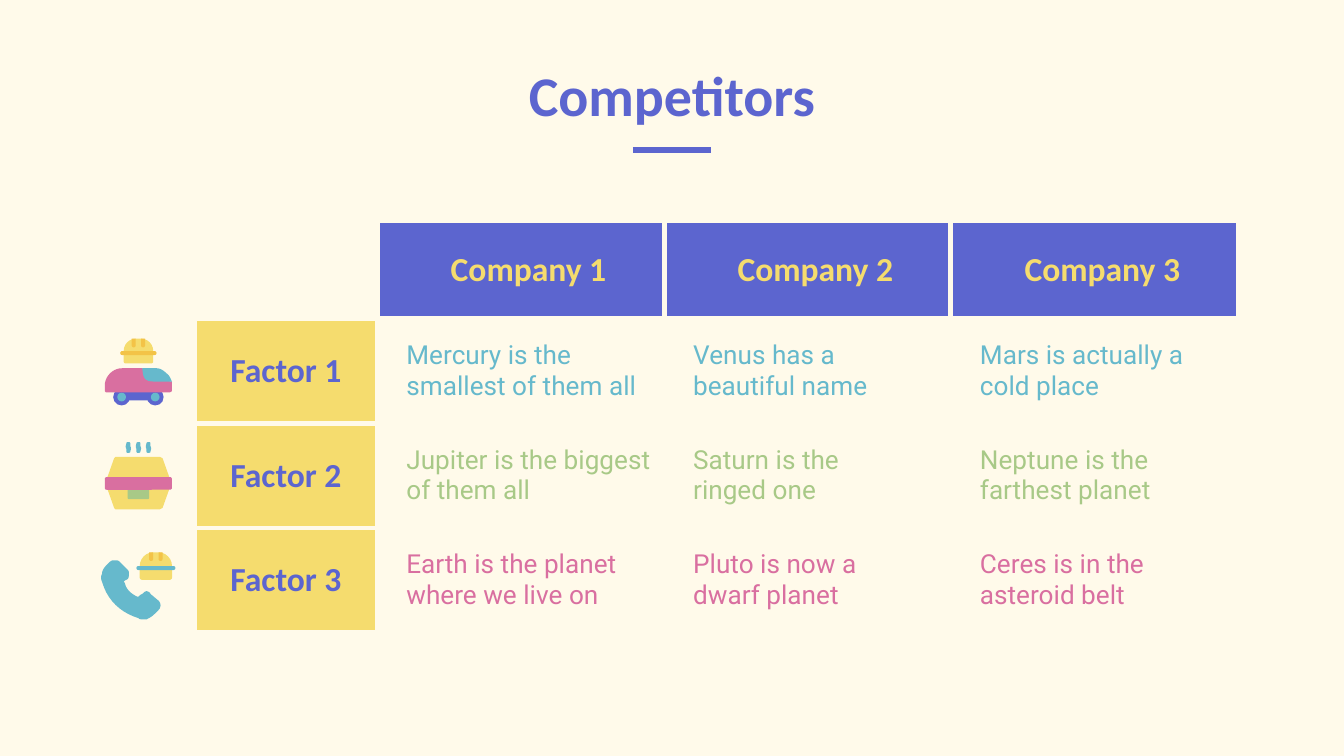
from dataclasses import dataclass
from typing import Any

from lxml.etree import SubElement
from pptx import Presentation
from pptx.dml.color import RGBColor
from pptx.enum.shapes import MSO_CONNECTOR, MSO_SHAPE
from pptx.enum.text import MSO_ANCHOR, PP_ALIGN
from pptx.oxml.ns import qn
from pptx.shapes.shapetree import GroupShapes
from pptx.table import _Cell
from pptx.util import Cm, Pt

COLORS = {
    "cream": "FFFAEA",
    "indigo": "5C65CF",
    "yellow": "F5DC6E",
    "amber": "F3C347",
    "blue": "66B9CC",
    "green": "A8C987",
    "pink": "D96FA0",
}
GRID = Cm(2.54) / 100
CURVE_STEPS = 10
HEADING_FONT = {"name": "Calibri", "size": Pt(18), "bold": True}
BODY_FONT = {"name": "Roboto", "size": Pt(14), "bold": False}
TITLE_FONT = {"name": "Calibri", "size": Pt(30), "bold": True}
MARGINS = {f"margin_{side}": Cm(0.25) for side in ("left", "right", "top", "bottom")}


@dataclass(frozen=True)
class Factor:
    name: str
    color: str
    notes: tuple[str, ...]


@dataclass(frozen=True)
class Part:
    preset: MSO_SHAPE
    color: str
    left: float
    top: float
    width: float
    height: float
    corners: tuple[float, ...] = ()


@dataclass(frozen=True)
class Outline:
    color: str
    start: tuple[float, float]
    segments: tuple[tuple[float, ...], ...]


COMPANIES = ("Company 1", "Company 2", "Company 3")
FACTORS = (
    Factor("Factor 1", "blue", (
        "Mercury is the smallest of them all", "Venus has a beautiful name",
        "Mars is actually a\ncold place")),
    Factor("Factor 2", "green", (
        "Jupiter is the biggest of them all", "Saturn is the\nringed one",
        "Neptune is the\nfarthest planet")),
    Factor("Factor 3", "pink", (
        "Earth is the planet where we live on", "Pluto is now a\ndwarf planet",
        "Ceres is in the asteroid belt")),
)

VAN_BODY = Outline("pink", (91, 274), (
    (84, 274, 78, 280, 78, 287), (78, 291), (78, 291, 79, 292, 79, 292), (126, 292),
    (127, 292, 128, 291, 128, 291), (128, 284), (123, 284, 106, 274, 106, 274)))
WINDSCREEN = Outline("blue", (106, 274), (
    (106, 278, 107, 281, 108, 282), (110, 284, 113, 284, 117, 284), (128, 284),
    (127, 282, 126, 279, 124, 278), (121, 275, 119, 274, 115, 274)))
BOX = Outline("yellow", (86, 340), (
    (85, 341), (80, 355), (80, 364), (85, 378), (86, 379), (119, 379),
    (121, 378), (126, 364), (126, 355), (121, 341), (119, 340)))
STEAM = Outline("blue", (2, 0), (
    (1, 0, 0, 0, 0, 1), (0, 2, -1, 3, 0, 5), (0, 6), (0, 7, 0, 8, 1, 8),
    (2, 8, 3, 8, 3, 7), (3, 6, 4, 5, 3, 3), (3, 2), (3, 1, 3, 0, 2, 0)))
HANDSET = Outline("blue", (86, 417), (
    (84, 417, 83, 417, 82, 418), (79, 421), (77, 423, 76, 425, 76, 427),
    (75, 429, 75, 431, 76, 433), (80, 447, 90, 456, 103, 460),
    (104, 461, 105, 461, 107, 461), (108, 461, 108, 461, 109, 461),
    (111, 460, 113, 459, 115, 457), (118, 454), (120, 452, 120, 449, 118, 447),
    (112, 442), (112, 441, 110, 440, 109, 440), (108, 440, 107, 441, 106, 442),
    (104, 443), (104, 444, 103, 444, 102, 444), (98, 442, 94, 439, 93, 434),
    (92, 433, 92, 433, 93, 432), (95, 431), (96, 430, 96, 428, 96, 427),
    (96, 426, 96, 425, 95, 424), (89, 418), (88, 417, 87, 417, 86, 417)))


def rgb(color: str) -> RGBColor:
    return RGBColor.from_string(COLORS[color])


def apply_format(target: Any, values: dict[str, Any]) -> None:
    for attribute, value in values.items():
        setattr(target, attribute, value)


def paint(shape: Any, color: str) -> None:
    shape.shadow.inherit = False
    shape.fill.solid()
    shape.fill.fore_color.rgb = rgb(color)
    shape.line.fill.background()


def draw_part(icon: GroupShapes, part: Part) -> None:
    box = (part.left, part.top, part.width, part.height)
    shape = icon.add_shape(part.preset, *(round(side * GRID) for side in box))
    for index, corner in enumerate(part.corners):
        shape.adjustments[index] = corner
    paint(shape, part.color)


def trace(outline: Outline) -> list[tuple[float, float]]:
    points = [outline.start]
    for segment in outline.segments:
        if len(segment) == 2:
            points.append((segment[0], segment[1]))
            continue
        controls = (points[-1], segment[:2], segment[2:4], segment[4:])
        for step in range(1, CURVE_STEPS + 1):
            t = step / CURVE_STEPS
            weights = ((1 - t) ** 3, 3 * t * (1 - t) ** 2, 3 * t * t * (1 - t), t ** 3)
            x, y = (sum(w * c[axis] for w, c in zip(weights, controls)) for axis in (0, 1))
            points.append((x, y))
    return points


def draw_outline(icon: GroupShapes, outline: Outline, left: float = 0, top: float = 0) -> None:
    points = [((x + left) * GRID, (y + top) * GRID) for x, y in trace(outline)]
    builder = icon.build_freeform(*points[0])
    builder.add_line_segments(points[1:], close=True)
    paint(builder.convert_to_shape(), outline.color)


def draw_helmet(icon: GroupShapes, center: float, top: float, width: float,
                height: float, brim_color: str) -> None:
    rounded = MSO_SHAPE.ROUND_2_SAME_RECTANGLE
    draw_part(icon, Part(rounded, "yellow", center - width / 2, top, width, height, (0.5, 0.08)))
    for left in (center - 5, center + 2):
        draw_part(icon, Part(rounded, "amber", left, top, 3, 6.5, (0, 0.5)))
    brim = width + 5
    draw_part(icon, Part(MSO_SHAPE.ROUNDED_RECTANGLE, brim_color, center - brim / 2,
                         top + height / 2, brim, 3, (0.5,)))


def draw_van(icon: GroupShapes) -> None:
    draw_part(icon, Part(MSO_SHAPE.RECTANGLE, "indigo", 91, 289, 24, 9))
    for center in (90.5, 115.5):
        for color, size in (("indigo", 12.5), ("blue", 6.5)):
            draw_part(icon, Part(MSO_SHAPE.OVAL, color, center - size / 2,
                                 295.5 - size / 2, size, size))
    draw_outline(icon, VAN_BODY)
    draw_outline(icon, WINDSCREEN)
    draw_helmet(icon, 103, 252, 22, 18.5, "amber")


def draw_hot_box(icon: GroupShapes) -> None:
    draw_outline(icon, BOX)
    for index in range(3):
        draw_outline(icon, STEAM, 94 + 7.5 * index, 329)
    draw_part(icon, Part(MSO_SHAPE.ROUNDED_RECTANGLE, "green", 95, 362, 16, 9.5, (0.12,)))
    draw_part(icon, Part(MSO_SHAPE.ROUNDED_RECTANGLE, "pink", 78, 355, 50, 9.5, (0.15,)))


def draw_phone(icon: GroupShapes) -> None:
    draw_outline(icon, HANDSET)
    draw_helmet(icon, 116, 411, 24, 20.5, "blue")


def fill_cell(cell: _Cell, text: str, font: dict[str, Any], color: str,
              background: str = "", align: PP_ALIGN = PP_ALIGN.LEFT,
              indent: int = 0) -> None:
    apply_format(cell, MARGINS | {"vertical_anchor": MSO_ANCHOR.MIDDLE})
    properties = cell._tc.get_or_add_tcPr()
    for side in ("lnL", "lnR", "lnT", "lnB"):
        border = SubElement(properties, qn(f"a:{side}"), w=str(Pt(3)))
        solid = SubElement(border, qn("a:solidFill"))
        SubElement(solid, qn("a:srgbClr"), val=COLORS["cream"])
    if background:
        cell.fill.solid()
        cell.fill.fore_color.rgb = rgb(background)
    else:
        cell.fill.background()
    cell.text_frame.text = text
    for paragraph in cell.text_frame.paragraphs:
        paragraph.alignment = align
        paragraph._p.get_or_add_pPr().set("marL", str(indent))
        for run in paragraph.runs:
            apply_format(run.font, font)
            run.font.color.rgb = rgb(color)


def draw_comparison(shapes: Any) -> None:
    frame = shapes.add_table(len(FACTORS) + 1, len(COMPANIES) + 1,
                             Cm(3.68), Cm(4.17), Cm(19.74), Cm(7.79))
    table = frame.table
    apply_format(table, {"first_row": False, "horz_banding": False})
    for column, width in zip(table.columns, (3.45, 5.42, 5.42, 5.43)):
        column.width = Cm(width)
    for row, height in zip(table.rows, (1.85, 1.98, 1.98, 1.98)):
        row.height = Cm(height)

    indent = Cm(0.3)
    fill_cell(table.cell(0, 0), "", HEADING_FONT, "yellow")
    for column, company in enumerate(COMPANIES, 1):
        fill_cell(table.cell(0, column), company, HEADING_FONT, "yellow", "indigo",
                  PP_ALIGN.CENTER, indent)
    for row, factor in enumerate(FACTORS, 1):
        fill_cell(table.cell(row, 0), factor.name, HEADING_FONT, "indigo", "yellow",
                  PP_ALIGN.CENTER)
        for column, note in enumerate(factor.notes, 1):
            fill_cell(table.cell(row, column), note, BODY_FONT, factor.color, indent=indent)


def draw_title(shapes: Any) -> None:
    underline = shapes.add_connector(MSO_CONNECTOR.STRAIGHT, Cm(11.96), Cm(2.84),
                                     Cm(13.44), Cm(2.84))
    underline.line.color.rgb = rgb("indigo")
    underline.line.width = Pt(3)
    SubElement(underline._element.spPr, qn("a:effectLst"))

    title = shapes.title
    apply_format(title, {"left": Cm(1.98), "top": Cm(0.56),
                         "width": Cm(21.44), "height": Cm(2.11)})
    title.text_frame.text = "Competitors"
    apply_format(title.text_frame, MARGINS | {"vertical_anchor": MSO_ANCHOR.BOTTOM})
    heading = title.text_frame.paragraphs[0]
    heading.alignment = PP_ALIGN.CENTER
    apply_format(heading.runs[0].font, TITLE_FONT)
    heading.runs[0].font.color.rgb = rgb("indigo")


def main() -> None:
    presentation = Presentation()
    apply_format(presentation, {"slide_width": Cm(25.4), "slide_height": Cm(14.29)})
    slide = presentation.slides.add_slide(presentation.slide_layouts[5])
    slide.background.fill.solid()
    slide.background.fill.fore_color.rgb = rgb("cream")
    draw_title(slide.shapes)
    draw_comparison(slide.shapes)
    for draw_icon in (draw_van, draw_hot_box, draw_phone):
        draw_icon(slide.shapes.add_group_shape().shapes)
    presentation.save("out.pptx")


if __name__ == "__main__":
    main()
